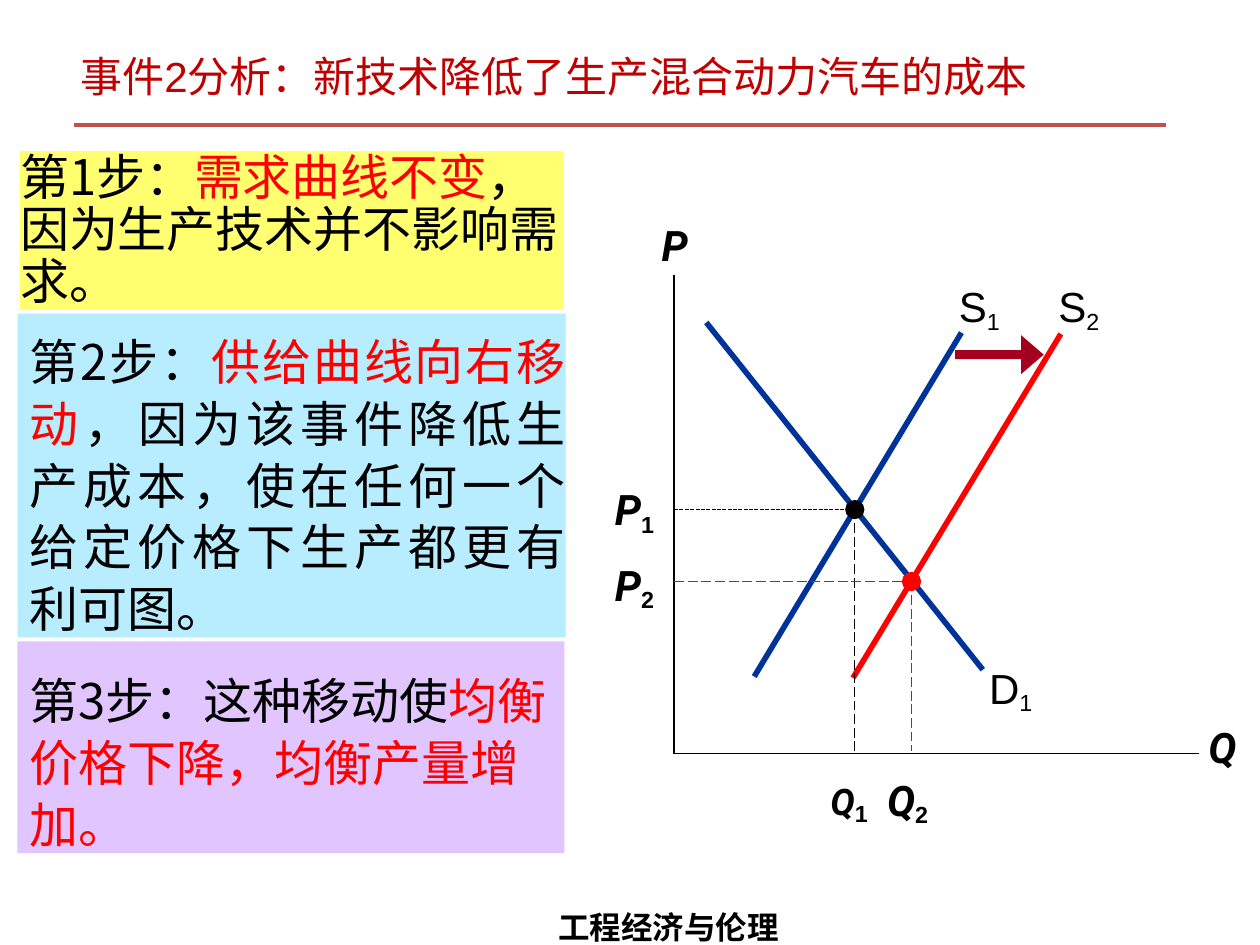
from dataclasses import dataclass, field
from typing import Optional

from lxml.etree import SubElement
from pptx import Presentation
from pptx.dml.color import RGBColor
from pptx.enum.dml import MSO_LINE
from pptx.enum.shapes import MSO_CONNECTOR, MSO_SHAPE
from pptx.enum.text import MSO_ANCHOR, PP_ALIGN
from pptx.oxml.ns import qn
from pptx.util import Pt

CJK = "Noto Sans CJK SC"
BLACK, BLUE, RED = "000000", "003399", "FF0000"


@dataclass
class Run:
    text: str
    size: float = 28
    font: str = CJK
    color: str = BLACK
    bold: bool = False
    italic: bool = False
    baseline: int = 0  # percent


@dataclass
class Text:
    """Paragraphs of runs in a frame, optionally on a filled panel."""
    x: float
    y: float
    w: float
    h: float
    paragraphs: list[list[Run]]
    insets: tuple[float, float, float, float] = (0, 0.7, 0, 0)
    spacing: Optional[object] = None
    align: PP_ALIGN = PP_ALIGN.LEFT
    fill: str = ""
    wrap: bool = True
    tabs: list[float] = field(default_factory=list)


@dataclass
class Line:
    x1: float
    y1: float
    x2: float
    y2: float
    color: str
    width: float
    dash: Optional[MSO_LINE] = None


def rgb(value: str) -> RGBColor:
    return RGBColor.from_string(value)


def draw_text(s, t: Text) -> None:
    box = [Pt(v) for v in (t.x, t.y, t.w, t.h)]
    if t.fill:
        sp = draw_shape(s, MSO_SHAPE.RECTANGLE, box, t.fill)
    else:
        sp = s.shapes.add_textbox(*box)
    tf = sp.text_frame
    tf.word_wrap = t.wrap
    tf.vertical_anchor = MSO_ANCHOR.TOP
    tf.margin_left, tf.margin_top, tf.margin_right, tf.margin_bottom = map(Pt, t.insets)
    for i, runs in enumerate(t.paragraphs):
        p = tf.add_paragraph() if i else tf.paragraphs[0]
        if t.tabs:
            tab_list = SubElement(p._p.get_or_add_pPr(), qn("a:tabLst"))
            for pos in t.tabs:
                SubElement(tab_list, qn("a:tab"), pos=str(Pt(pos)), algn="l")
        p.alignment = t.align
        if t.spacing:
            p.line_spacing = t.spacing
        for run in runs:
            r = p.add_run()
            r.text = run.text
            r.font.size, r.font.name = Pt(run.size), run.font
            r.font.bold, r.font.italic = run.bold, run.italic
            r.font.color.rgb = rgb(run.color)
            props = r._r.get_or_add_rPr()
            SubElement(props, qn("a:ea"), typeface=CJK)
            if run.baseline:
                props.set("baseline", str(run.baseline * 1000))


def draw_shape(s, kind: MSO_SHAPE, box: list, color: str):
    sp = s.shapes.add_shape(kind, *box)
    sp.shadow.inherit = False
    sp.fill.solid()
    sp.fill.fore_color.rgb = rgb(color)
    sp.line.fill.background()
    return sp


def draw_line(s, ln: Line) -> None:
    c = s.shapes.add_connector(
        MSO_CONNECTOR.STRAIGHT, Pt(ln.x1), Pt(ln.y1), Pt(ln.x2), Pt(ln.y2))
    c.line.color.rgb = rgb(ln.color)
    c.line.width = Pt(ln.width)
    if ln.dash:
        c.line.dash_style = ln.dash
    SubElement(c._element.spPr, qn("a:effectLst"))


def variable(name: str, size: float = 24, baseline: int = 0) -> Run:
    return Run(name, size, "Roboto", bold=True, italic=True, baseline=baseline)


def index(number: str, bold: bool = False, baseline: int = -18) -> Run:
    return Run(number, 23, "Arial", bold=bold, baseline=baseline)


def curve_label(x: float, y: float, name: str, number: str) -> Text:
    return Text(x, y, 31.5, 31.5, [[Run(name, 24, "Arial"), index(number)]],
                insets=(2.9, 0.7, 0, 0))


# Equilibrium points and axes
X0, Y0 = 385.2, 430.6
X1, Y1 = 488.5, 291.2
X2, Y2 = 520.9, 332.3
DOT = 11

FRAME = (7.2, 3.6, 7.2, 3.6)

LINES = [
    Line(42.5, 71.3, 666, 71.3, "C0504D", 2),
    # Axes
    Line(X0, 157, X0, Y0, BLACK, 1.1),
    Line(X0, Y0, 685.4, Y0, BLACK, 1.1),
    # Demand and the two supply curves
    Line(403.6, 184.3, 561.6, 382.7, BLUE, 3.2),
    Line(431, 386.6, 549.4, 190.1, BLUE, 3.2),
    Line(487.4, 387.4, 606.2, 190.8, RED, 3.2),
    # Guides to the axes
    Line(X0, Y1, X1, Y1, BLACK, 0.77, MSO_LINE.SQUARE_DOT),
    Line(X1, Y1, X1, 429.1, BLACK, 0.72, MSO_LINE.LONG_DASH),
    Line(X0, Y2, X2, Y2, RED, 0.72, MSO_LINE.LONG_DASH),
    Line(X2, Y2, X2, 429.1, RED, 0.72, MSO_LINE.LONG_DASH),
]

TEXTS = [
    # Title and footer
    Text(38.9, 25.2, 619.2, 36,
         [[Run("事件2分析：新技术降低了生产混合动力汽车的成本", 24, "Arial", "C00000")]], FRAME),
    Text(311.8, 504.7, 140.4, 39.6,
         [[Run("工程经济与伦理", 18, "Times New Roman", bold=True)]],
         FRAME, spacing=1.5, wrap=False),
    # Chart labels
    Text(377.3, 124.6, 18, 29.5, [[variable("P")]], (0.7, 0.7, 0, 0)),
    Text(689.8, 411.8, 20.9, 29.5, [[variable("Q")]], (0.7, 0.7, 0, 0)),
    curve_label(562.3, 378, "D", "1"),
    curve_label(545, 159.8, "S", "1"),
    curve_label(601.9, 159.8, "S", "2"),
    Text(348.5, 263.5, 31.7, 87.1,
         [[variable("P"), index(n, True)] for n in "12"],
         (2.9, 0.7, 0, 0), spacing=1.4),
    Text(471.6, 429.8, 66.2, 43.9,
         [[variable("Q", 36, 1), index("1\t", True, -14), variable("Q"), index("2", True)]],
         (2.9, 0.7, 0, 0), tabs=[32.4]),
    # Three analysis steps
    Text(11.5, 86.4, 310.3, 90.7,
         [[Run("第1步："), Run("需求曲线不变", color=RED),
           Run("，因为生产技术并不影响需求。")]],
         (0, 1.4, 0, 0), spacing=Pt(29.6), fill="FFFF70"),
    Text(10, 179.3, 313.2, 185,
         [[Run("第2步："), Run("供给曲线向右移动", color=RED),
           Run("，因为该事件降低生产成本，使在任何一个给定价格下生产都更有利可图。")]],
         (7.2, 8.6, 0, 0), spacing=1.05, align=PP_ALIGN.JUSTIFY, fill="B8ECFF"),
    Text(10, 366.5, 312.5, 121,
         [[Run("第3步：这种移动使"), Run("均衡价格下降，均衡产量增加。", color=RED)]],
         (7.2, 15.1, 0, 0), spacing=1.05, fill="E1C5FF"),
]


def main() -> None:
    prs = Presentation()
    prs.slide_width, prs.slide_height = Pt(720), Pt(540)
    s = prs.slides.add_slide(prs.slide_layouts[6])

    for ln in LINES:
        draw_line(s, ln)

    # Equilibrium dots
    for x, y, color in ((X1, Y1, BLACK), (X2, Y2, RED)):
        box = [Pt(v) for v in (x - DOT / 2, y - DOT / 2, DOT, DOT)]
        draw_shape(s, MSO_SHAPE.OVAL, box, color)

    # Supply shift arrow
    arrow = draw_shape(s, MSO_SHAPE.RIGHT_ARROW,
                       [Pt(v) for v in (545.8, 191.5, 50.6, 22.3)], "A40020")
    arrow.adjustments[0], arrow.adjustments[1] = 0.23, 0.58

    for t in TEXTS:
        draw_text(s, t)
    prs.save("out.pptx")


if __name__ == "__main__":
    main()
